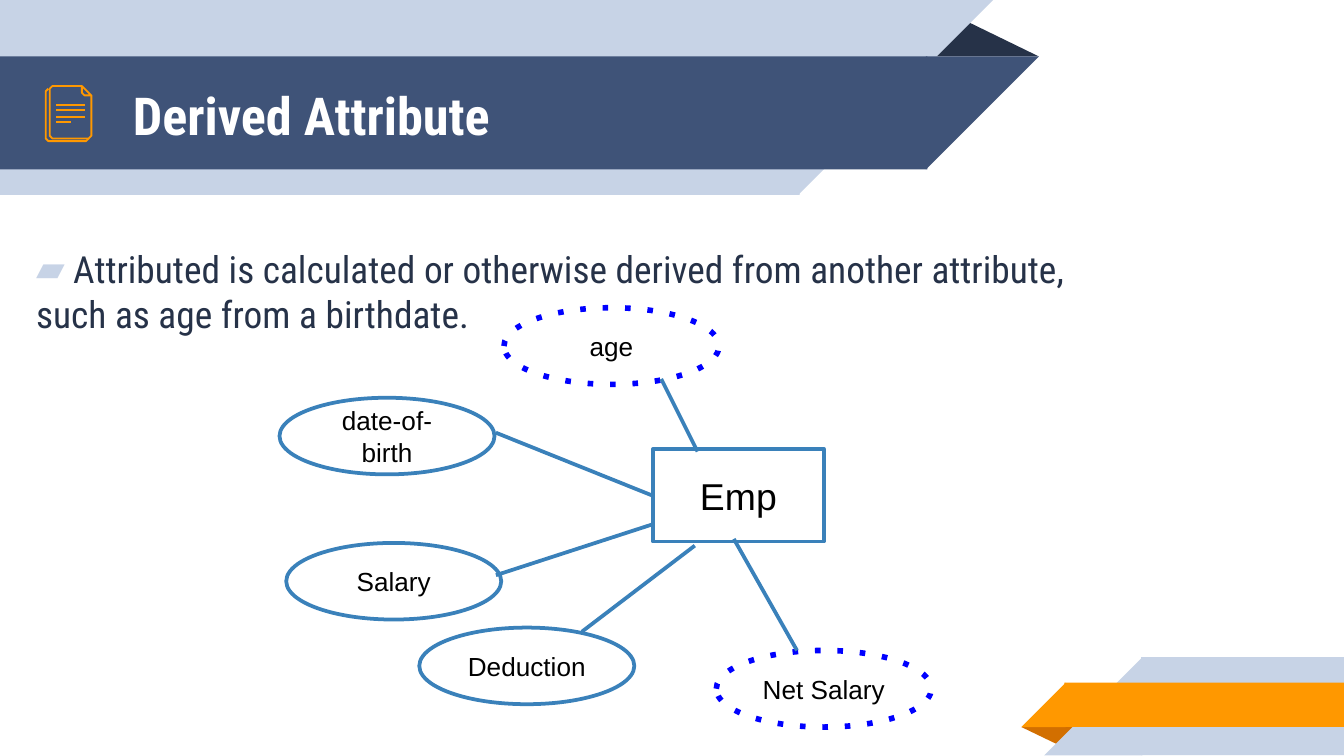
from lxml.etree import SubElement
from pptx import Presentation
from pptx.dml.color import RGBColor
from pptx.enum.shapes import MSO_CONNECTOR as Connector, MSO_SHAPE as Shape
from pptx.enum.text import MSO_ANCHOR as Anchor, PP_ALIGN as Align
from pptx.oxml.ns import qn
from pptx.util import Pt

PX = 9144  # EMU; 100 px to the inch
WIDTH = 1000

WHITE = RGBColor(0xFF, 0xFF, 0xFF)
BLACK = RGBColor(0x00, 0x00, 0x00)
INK = RGBColor(0x26, 0x32, 0x48)
NAVY = RGBColor(0x3F, 0x53, 0x78)
PALE = RGBColor(0xC7, 0xD3, 0xE6)
ORANGE = RGBColor(0xFF, 0x98, 0x00)
RUST = RGBColor(0xD2, 0x6F, 0x00)
STEEL = RGBColor(0x3A, 0x81, 0xBA)
BLUE = RGBColor(0x00, 0x00, 0xFF)

HEADING_FONT = "Roboto Condensed"
DIAGRAM_FONT = "Arial"


def emu(*lengths):
    return [length * PX for length in lengths]


def style(shape, fill=None, line=None, weight=1):
    shape.shadow.inherit = False
    if fill is None:
        shape.fill.background()
    else:
        shape.fill.solid()
        shape.fill.fore_color.rgb = fill
    if line is None:
        shape.line.fill.background()
    else:
        shape.line.color.rgb = line
        shape.line.width = Pt(weight)


def add_preset(slide, kind, box, fill=None, line=None, weight=1):
    shape = slide.shapes.add_shape(kind, *emu(*box))
    style(shape, fill, line, weight)
    return shape


def add_line(slide, start, end, color, weight):
    line = slide.shapes.add_connector(Connector.STRAIGHT, *emu(*start, *end))
    line.line.color.rgb = color
    line.line.width = Pt(weight)
    SubElement(line._element.spPr, qn("a:effectLst"))


def add_run(paragraph, text, font, size, color, bold=False):
    run = paragraph.add_run()
    run.text = text
    run.font.name = font
    run.font.size = Pt(size)
    run.font.color.rgb = color
    run.font.bold = bold


def set_frame(frame, inset_x, inset_y, anchor):
    frame.word_wrap = True
    frame.margin_left = frame.margin_right = inset_x * PX
    frame.margin_top = frame.margin_bottom = inset_y * PX
    frame.vertical_anchor = anchor
    return frame.paragraphs[0]


def add_text_box(slide, box, anchor):
    text_box = slide.shapes.add_textbox(*emu(*box))
    return set_frame(text_box.text_frame, 10, 10, anchor)


def add_band(slide, box, color, slant_left=False):
    """A bar with a 45-degree end, slanting beyond the box on one side."""
    left, top, width, height = box
    # One px of overlap hides the seam between bar and tip.
    bar_left = left - 1 if slant_left else left
    add_preset(slide, Shape.RECTANGLE, (bar_left, top, width + 1, height), color)
    tip_left = left - height if slant_left else left + width
    tip = add_preset(slide, Shape.RIGHT_TRIANGLE, (tip_left, top, height, height), color)
    tip.rotation = 270 if slant_left else 90


def add_fold(slide, box, color, rotation=0):
    fold = add_preset(slide, Shape.ISOSCELES_TRIANGLE, box, color)
    fold.adjustments[0] = 0.324
    fold.rotation = rotation


def add_document_icon(slide, box):
    left, top, right, bottom = box[0], box[1], box[2], box[3]
    back_page = [(32, 39), (30, 41), (2, 41), (0, 39), (0, 4), (2, 2)]
    front_page = [(right, 7), (right, bottom - 2), (right - 2, bottom), (5, bottom),
                  (3, bottom - 2), (3, 2), (5, 0), (right - 7, 0)]
    corner = [(right - 7, 0), (right, 7), (right - 5, 7), (right - 7, 5)]
    for points, closed in ((back_page, False), (front_page, False), (corner, True)):
        builder = slide.shapes.build_freeform(*points[0], scale=PX)
        builder.add_line_segments(points[1:], close=closed)
        style(builder.convert_to_shape(*emu(left, top)), line=ORANGE)
    for row, length in enumerate((21, 21, 21, 11)):
        y = top + 14 + round(row * 4.4)
        add_line(slide, (left + 8, y), (left + 8 + length, y), ORANGE, 1)


def add_header(slide, box):
    left, top, width, height = box
    add_fold(slide, (left + width - 85, top + 14, 85, 28), INK)
    add_band(slide, (left, top, 594, height), PALE)
    add_band(slide, (left, top + 42, width - 84, 84), NAVY)
    title = add_text_box(slide, (left + 89, top + 43, 575, 84), Anchor.MIDDLE)
    add_run(title, "Derived Attribute", HEADING_FONT, 28, WHITE, bold=True)
    add_document_icon(slide, (left + 34, top + 64, 34, 39))


def add_corner_ribbon(slide, box):
    left, top, width, height = box
    add_fold(slide, (left, top + 52, 43, 14), RUST, rotation=180)
    add_band(slide, (left + 90, top, width - 90, height), PALE, slant_left=True)
    add_band(slide, (left + 33, top + 19, width - 33, 33), ORANGE, slant_left=True)


def add_definition(slide, box):
    definition = add_text_box(slide, box, Anchor.TOP)
    properties = definition._p.get_or_add_pPr()
    properties.set("marL", "0")
    properties.set("indent", str(-14 * PX))
    bullet_color = SubElement(properties, qn("a:buClr"))
    SubElement(bullet_color, qn("a:srgbClr")).set("val", str(PALE))
    SubElement(properties, qn("a:buFont")).set("typeface", HEADING_FONT)
    SubElement(properties, qn("a:buChar")).set("char", "▰")
    add_run(definition, " Attributed is calculated or otherwise derived from another "
            "attribute, such as age from a birthdate.", HEADING_FONT, 20, INK)


def add_label(shape, text, size):
    label = set_frame(shape.text_frame, 10, 5, Anchor.MIDDLE)
    label.alignment = Align.CENTER
    add_run(label, text, DIAGRAM_FONT, size, BLACK)


def add_attribute(slide, name, box, derived):
    if derived:
        oval = add_preset(slide, Shape.OVAL, box, line=BLUE, weight=3)
        outline = oval._element.spPr.find(qn("a:ln"))
        SubElement(outline, qn("a:prstDash")).set("val", "dot")
    else:
        oval = add_preset(slide, Shape.OVAL, box, WHITE, STEEL, 2)
    add_label(oval, name, 14)


def add_entity_diagram(slide, box):
    left, top = box[:2]
    entity = add_preset(slide, Shape.RECTANGLE, (left + 278, top + 105, 127, 69),
                        WHITE, STEEL, 2)
    add_label(entity, "Emp", 20)
    # name, oval corner, link from entity, link to oval, derived
    attributes = [
        ("Net Salary", (325, 255), (338, 172), (385, 255), True),
        ("Salary", (5, 175), (278, 161), (161, 199), False),
        ("Deduction", (104, 238), (309, 177), (225, 241), False),
        ("age", (167, 0), (311, 107), (284, 53), True),
        ("date-of-birth", (0, 67), (278, 140), (161, 93), False),
    ]
    for name, (x, y), start, end, derived in attributes:
        add_attribute(slide, name, (left + x, top + y, 160, 57), derived)
        add_line(slide, (left + start[0], top + start[1]),
                 (left + end[0], top + end[1]), STEEL, 2)


def main():
    deck = Presentation()
    deck.slide_width = WIDTH * PX
    deck.slide_height = WIDTH * PX * 9 // 16
    slide = deck.slides.add_slide(deck.slide_layouts[6])
    add_header(slide, (0, 0, 773, 145))
    add_corner_ribbon(slide, (760, 489, 240, 73))
    add_definition(slide, (17, 173, 833, 293))
    add_entity_diagram(slide, (208, 229, 485, 312))
    deck.save("out.pptx")


if __name__ == "__main__":
    main()
